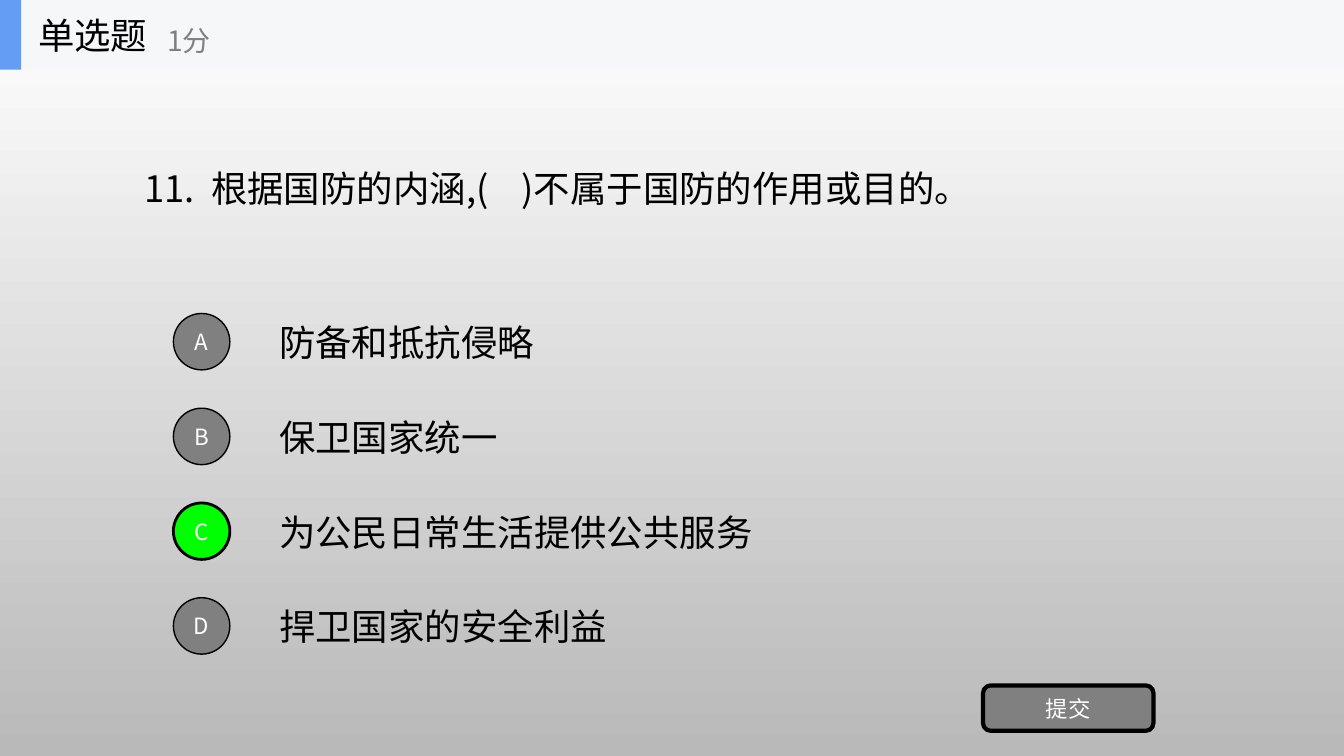
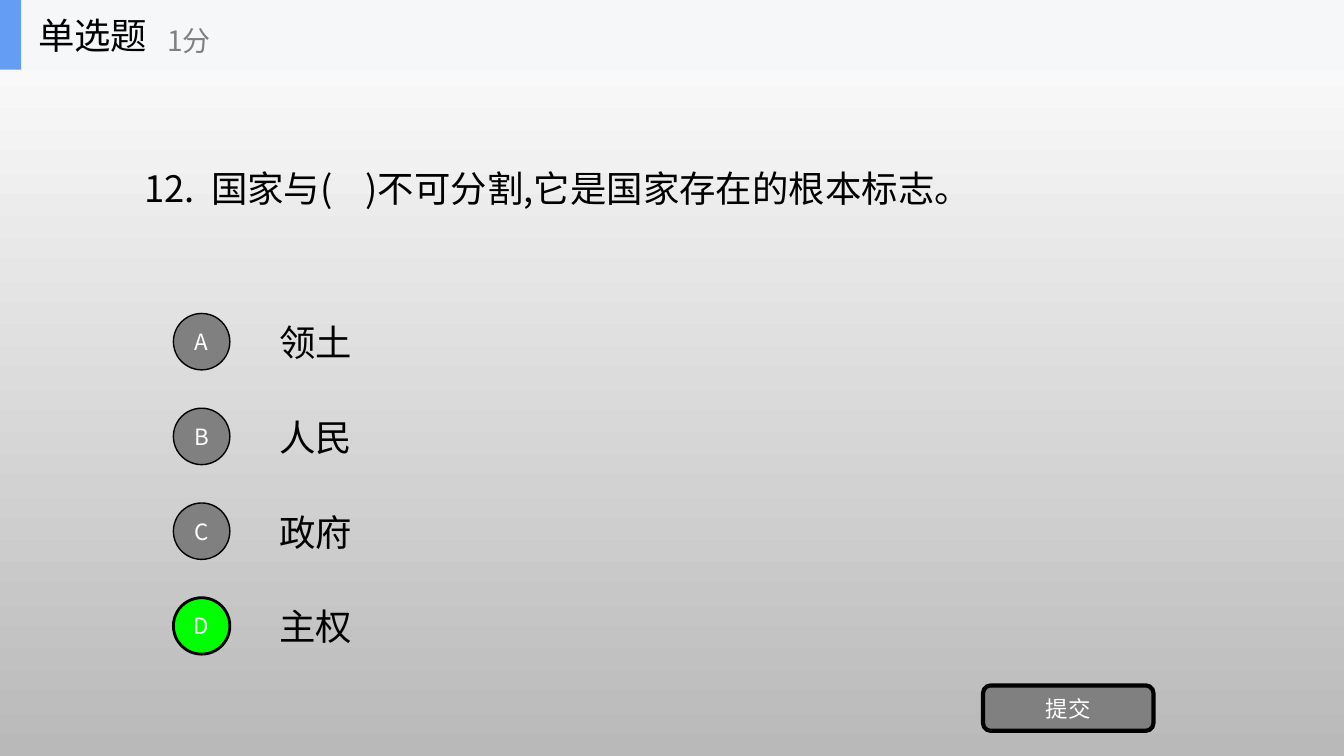
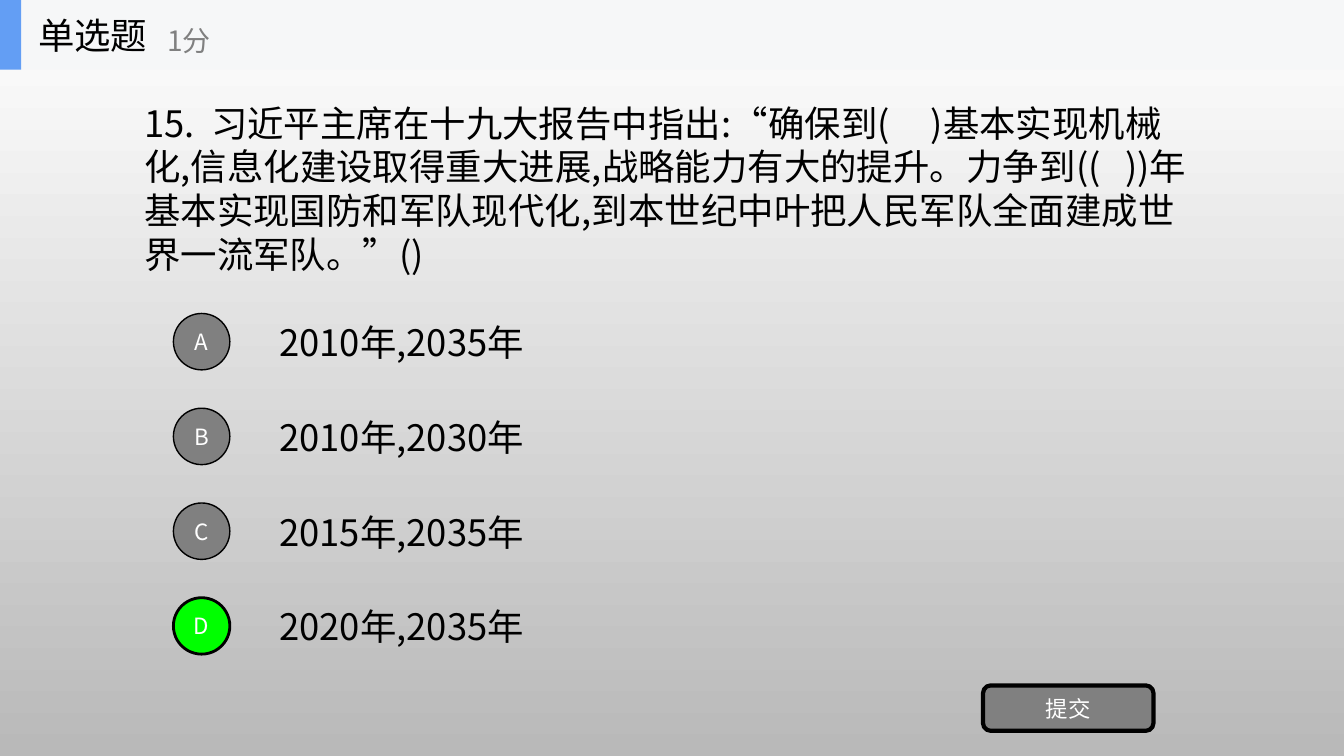
"""Build three single-choice quiz slides."""

from dataclasses import dataclass

from lxml.etree import SubElement
from pptx import Presentation as new_deck
from pptx.dml.color import RGBColor
from pptx.enum.shapes import MSO_SHAPE as Preset
from pptx.enum.text import MSO_ANCHOR as Anchor, MSO_AUTO_SIZE as AutoSize, PP_ALIGN as Align
from pptx.oxml.ns import qn
from pptx.presentation import Presentation
from pptx.shapes.autoshape import Shape
from pptx.shapes.shapetree import GroupShapes, SlideShapes
from pptx.slide import Slide
from pptx.util import Inches, Pt


@dataclass(frozen=True)
class Theme:
    font: str = "Noto Sans CJK SC"
    ink: str = "000000"
    white: str = "FFFFFF"
    grey: str = "808080"
    shade: str = "B9B9B9"
    correct: str = "00FF00"
    band: str = "F6F7F8"
    accent: str = "639EF4"
    body_size: int = 26
    points_size: int = 20
    label_size: int = 16


@dataclass(frozen=True)
class Area:
    left: float
    top: float
    width: float
    height: float

    def lengths(self) -> tuple[Inches, Inches, Inches, Inches]:
        return Inches(self.left), Inches(self.top), Inches(self.width), Inches(self.height)


@dataclass(frozen=True)
class Question:
    text: str
    area: Area
    options: tuple[str, ...]
    answer: str


THEME = Theme()
SLIDE_WIDTH, SLIDE_HEIGHT = 13.33, 7.5
BAND_HEIGHT = 0.69
FIRST_OPTION_TOP, OPTION_PITCH = 3.11, 0.94
BADGE_SIZE = 0.56
SHORT_QUESTION = Area(1.33, 1.6, 8.76, 0.53)
LONG_QUESTION = Area(1.33, 0.95, 10.56, 1.83)

QUESTIONS = (
    Question(
        "11.  根据国防的内涵,(    )不属于国防的作用或目的。",
        SHORT_QUESTION,
        ("防备和抵抗侵略", "保卫国家统一", "为公民日常生活提供公共服务", "捍卫国家的安全利益"),
        "C",
    ),
    Question(
        "12.  国家与(    )不可分割,它是国家存在的根本标志。",
        SHORT_QUESTION,
        ("领土", "人民", "政府", "主权"),
        "D",
    ),
    Question(
        "15.  习近平主席在十九大报告中指出:“确保到(     )基本实现机械化,"
        "信息化建设取得重大进展,战略能力有大的提升。力争到((   ))年基本实现国防和军队现代化,"
        "到本世纪中叶把人民军队全面建成世界一流军队。”()",
        LONG_QUESTION,
        ("2010年,2035年", "2010年,2030年", "2015年,2035年", "2020年,2035年"),
        "D",
    ),
)


def write(
    box: Shape,
    text: str,
    *,
    size: int = THEME.body_size,
    color: str = THEME.ink,
    align: Align = Align.LEFT,
    wrap: bool = True,
    grow: bool = False,
) -> None:
    frame = box.text_frame
    frame.word_wrap = wrap
    frame.auto_size = AutoSize.SHAPE_TO_FIT_TEXT if grow else AutoSize.NONE
    frame.vertical_anchor = Anchor.MIDDLE
    para = frame.paragraphs[0]
    para.alignment = align
    span = para.add_run()
    span.text = text
    span.font.name = THEME.font
    span.font.size = Pt(size)
    span.font.color.rgb = RGBColor.from_string(color)
    east_asian = SubElement(span.font._element, qn("a:ea"))
    east_asian.set("typeface", THEME.font)


def add_block(
    shapes: SlideShapes | GroupShapes,
    preset: Preset,
    area: Area,
    fill: str,
    *,
    line_width: float = 0,
) -> Shape:
    block = shapes.add_shape(preset, *area.lengths())
    block.shadow.inherit = False
    block.fill.solid()
    block.fill.fore_color.rgb = RGBColor.from_string(fill)
    if line_width:
        block.line.color.rgb = RGBColor.from_string(THEME.ink)
        block.line.width = Pt(line_width)
    else:
        block.line.fill.background()
    return block


def add_header(page: Slide) -> None:
    shapes = page.shapes.add_group_shape().shapes
    add_block(shapes, Preset.RECTANGLE, Area(0, 0, SLIDE_WIDTH, BAND_HEIGHT), THEME.band)
    add_block(shapes, Preset.RECTANGLE, Area(0, 0, 0.21, BAND_HEIGHT), THEME.accent)
    kind = shapes.add_textbox(*Area(0.28, 0, 2.08, BAND_HEIGHT).lengths())
    write(kind, "单选题", wrap=False)
    points = shapes.add_textbox(*Area(1.56, 0.12, 2.5, 0.56).lengths())
    write(points, "1分", size=THEME.points_size, color=THEME.grey, wrap=False)


def option_width(text: str) -> float:
    return 0.29 + sum(0.2 if letter.isascii() else 0.36 for letter in text)


def add_option(page: Slide, text: str, letter: str, top: float, is_answer: bool) -> None:
    box = page.shapes.add_textbox(*Area(2.67, top + 0.02, option_width(text), 0.53).lengths())
    write(box, text, grow=True)
    badge = add_block(
        page.shapes,
        Preset.OVAL,
        Area(1.72, top, BADGE_SIZE, BADGE_SIZE),
        THEME.correct if is_answer else THEME.grey,
        line_width=2 if is_answer else 1,
    )
    write(badge, letter, size=THEME.label_size, color=THEME.white, align=Align.CENTER)


def add_question(deck: Presentation, question: Question) -> None:
    page = deck.slides.add_slide(deck.slide_layouts.get_by_name("Title Only"))
    title = page.shapes.title
    title.left, title.top, title.width, title.height = question.area.lengths()
    write(title, question.text, grow=True)
    for row, (letter, text) in enumerate(zip("ABCD", question.options)):
        top = FIRST_OPTION_TOP + row * OPTION_PITCH
        add_option(page, text, letter, top, letter == question.answer)
    button = add_block(
        page.shapes, Preset.ROUNDED_RECTANGLE, Area(9.75, 6.8, 1.69, 0.45), THEME.grey, line_width=3
    )
    write(button, "提交", size=THEME.label_size, color=THEME.white, align=Align.CENTER)
    add_header(page)


def set_background(deck: Presentation) -> None:
    fill = deck.slide_master.background.fill
    fill.gradient()
    fill.gradient_angle = 270
    for stop, color in zip(fill.gradient_stops, (THEME.white, THEME.shade)):
        stop.color.rgb = RGBColor.from_string(color)


def main() -> None:
    deck = new_deck()
    deck.slide_width, deck.slide_height = Inches(SLIDE_WIDTH), Inches(SLIDE_HEIGHT)
    set_background(deck)
    for question in QUESTIONS:
        add_question(deck, question)
    deck.save("out.pptx")


if __name__ == "__main__":
    main()
